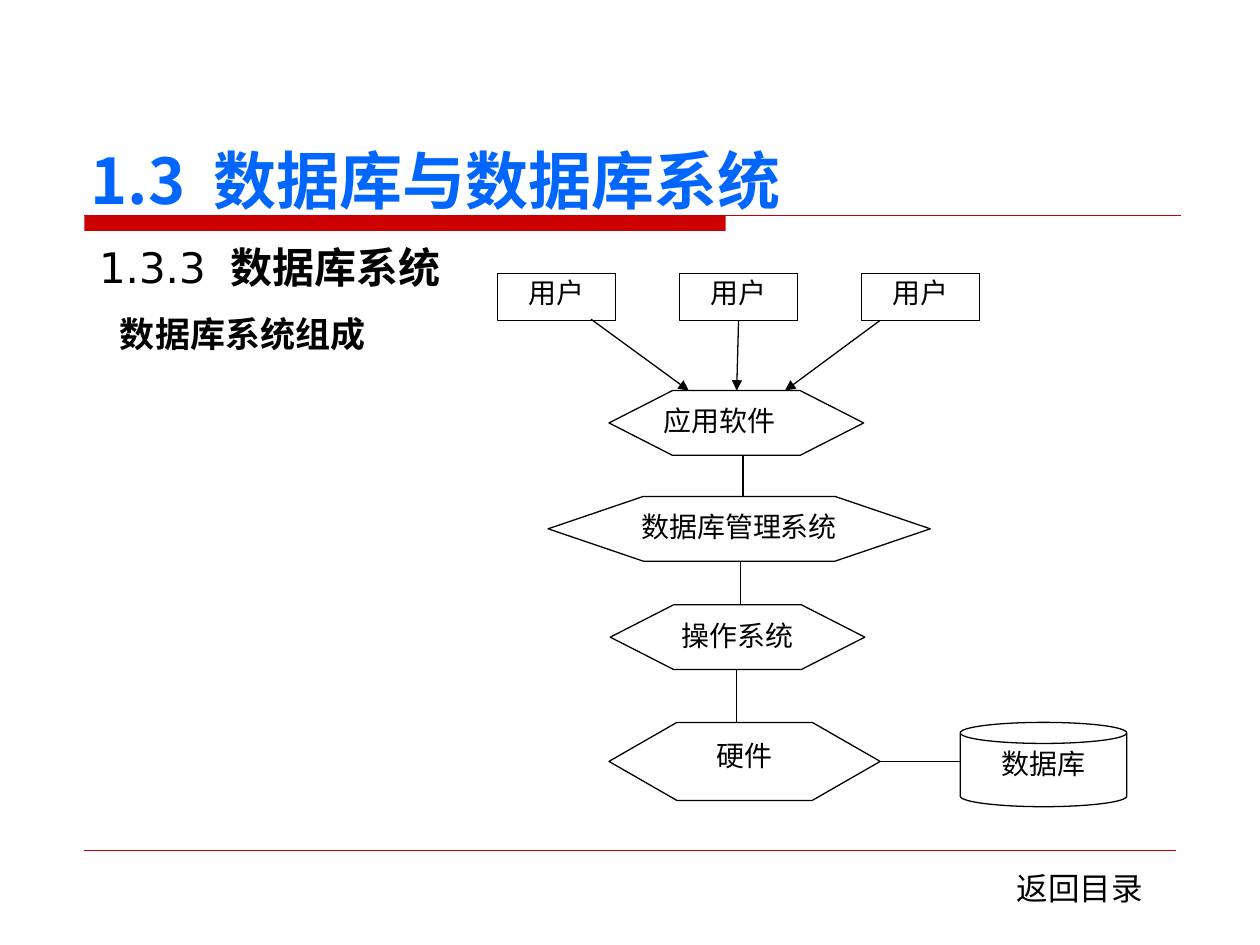
"""Builds a slide on the layers of a database system."""
from lxml import etree
from pptx import Presentation, util as u
from pptx.dml.color import RGBColor
from pptx.enum import shapes, text
from pptx.oxml.ns import qn

Pt = u.Pt
CJK, SANS, SERIF = "Noto Sans CJK SC", "DejaVu Sans", "Times New Roman"


def add_text(p, words, size, font, color="000000", bold=False, gap=0):
    """Add a run; gap widens its letter spacing in points."""
    r = p.add_run()
    r.text = words
    for name, value in {"size": Pt(size), "name": font, "bold": bold}.items():
        setattr(r.font, name, value)
    r.font.color.rgb = RGBColor.from_string(color)
    etree.SubElement(r.font._element, qn("a:ea"), typeface=CJK)
    if gap:
        r.font._element.set("spc", str(gap * 100))


def add_line(s, x1, y1, x2, y2, color="000000", width=0.75, arrow=False):
    """Add a straight line, with an arrowhead at its end if asked."""
    c = s.shapes.add_connector(shapes.MSO_CONNECTOR.STRAIGHT, Pt(x1), Pt(y1), Pt(x2), Pt(y2))
    c.line.color.rgb = RGBColor.from_string(color)
    c.line.width = Pt(width)
    if arrow:
        etree.SubElement(c.line._get_or_add_ln(), qn("a:tailEnd"), type="triangle")
    etree.SubElement(c._element.spPr, qn("a:effectLst"))
    return c


prs = Presentation()
prs.slide_width, prs.slide_height = Pt(720), Pt(540)
s = prs.slides.add_slide(prs.slide_layouts[5])

bar = s.shapes.add_shape(shapes.MSO_SHAPE.RECTANGLE, Pt(48.2), Pt(123), Pt(366.5), Pt(9))
bar.shadow.inherit = False
bar.fill.solid()
bar.fill.fore_color.rgb = RGBColor.from_string("CC0000")
bar.line.fill.background()
add_line(s, 48.2, 123.2, 674.8, 123.2, "CC0000")
add_line(s, 48.2, 486, 672, 486, "CC0000", 0.25)

title = s.shapes.title
for name, value in {"left": 44.6, "top": 28, "width": 630, "height": 96}.items():
    setattr(title, name, Pt(value))
tf = title.text_frame
for name, value in {"vertical_anchor": text.MSO_ANCHOR.BOTTOM, "margin_bottom": 0,
                    "auto_size": text.MSO_AUTO_SIZE.NONE}.items():
    setattr(tf, name, value)
p = tf.paragraphs[0]
p.alignment = text.PP_ALIGN.LEFT
for words, gap in (("1.3", 0), (" ", 8), ("数据库与数据库系统", 0)):
    add_text(p, words, 36, CJK, "0066FF", True, gap)

body = s.shapes.add_textbox(Pt(44.6), Pt(138), Pt(630), Pt(336))
tf = body.text_frame
for name, value in {"word_wrap": True, "margin_left": Pt(12), "margin_top": 0}.items():
    setattr(tf, name, value)
p = tf.paragraphs[0]
add_text(p, "1.3.3", 24, SANS)
add_text(p, " ", 24, SANS, gap=6.5)
add_text(p, "数据库系统", 24, SANS, bold=True)
p = tf.add_paragraph()
p.space_before = Pt(12)
p._p.get_or_add_pPr().set("marL", str(Pt(12)))
add_text(p, "数据库系统组成", 20, SANS, bold=True)

RECT, HEX, CAN = shapes.MSO_SHAPE.RECTANGLE, shapes.MSO_SHAPE.HEXAGON, shapes.MSO_SHAPE.CAN
LEFT, CENTER = text.PP_ALIGN.LEFT, text.PP_ALIGN.CENTER
nodes = [(RECT, "用户", 284.3 + 104 * i, 156.2, 67.5, 27, None, CENTER) for i in range(3)] + [
    (HEX, "应用软件", 348, 223.2, 145.5, 37, 0.98, LEFT),
    (HEX, "数据库管理系统", 313.2, 283.7, 218.4, 37, 1.47, CENTER),
    (HEX, "操作系统", 348.7, 345.6, 145.5, 37, 0.98, CENTER),
    (HEX, "硬件", 348, 412.8, 155, 44.6, 0.87, CENTER),
    (CAN, "数据库", 548.7, 412.8, 95.2, 48.2, 0.25, CENTER),
]
boxes = []
for kind, words, x, y, w, h, adj, align in nodes:
    sp = s.shapes.add_shape(kind, Pt(x), Pt(y), Pt(w), Pt(h))
    sp.shadow.inherit = False
    if adj:
        sp.adjustments[0] = adj
    sp.fill.solid()
    sp.fill.fore_color.rgb = RGBColor.from_string("FFFFFF")
    sp.line.color.rgb = RGBColor.from_string("000000")
    sp.line.width = Pt(0.75)
    tf = sp.text_frame
    for name, value in {"vertical_anchor": text.MSO_ANCHOR.TOP, "margin_top": Pt(1.5)}.items():
        setattr(tf, name, value)
    tf.paragraphs[0].alignment = align
    add_text(tf.paragraphs[0], words, 16, SERIF)
    boxes.append(sp)

add_line(s, 337.7, 182.4, 393.6, 223.2, arrow=True)
add_line(s, 422, 183.2, 421, 223.2, arrow=True).begin_connect(boxes[1], 2)
add_line(s, 502.8, 183.2, 448.6, 223.2, arrow=True)
for x, top, bottom in ((424.6, 260.2, 283.7), (423, 320.7, 345.6), (421, 382.6, 412.8)):
    add_line(s, x, top, x, bottom)
add_line(s, 503, 435.1, 548.7, 435.1)

back = s.shapes.add_textbox(Pt(573.8), Pt(495.4), Pt(90), Pt(29))
tf = back.text_frame
for name, value in {"word_wrap": True, "margin_top": Pt(1)}.items():
    setattr(tf, name, value)
add_text(tf.paragraphs[0], "返回目录", 18, SANS)

prs.save("out.pptx")
